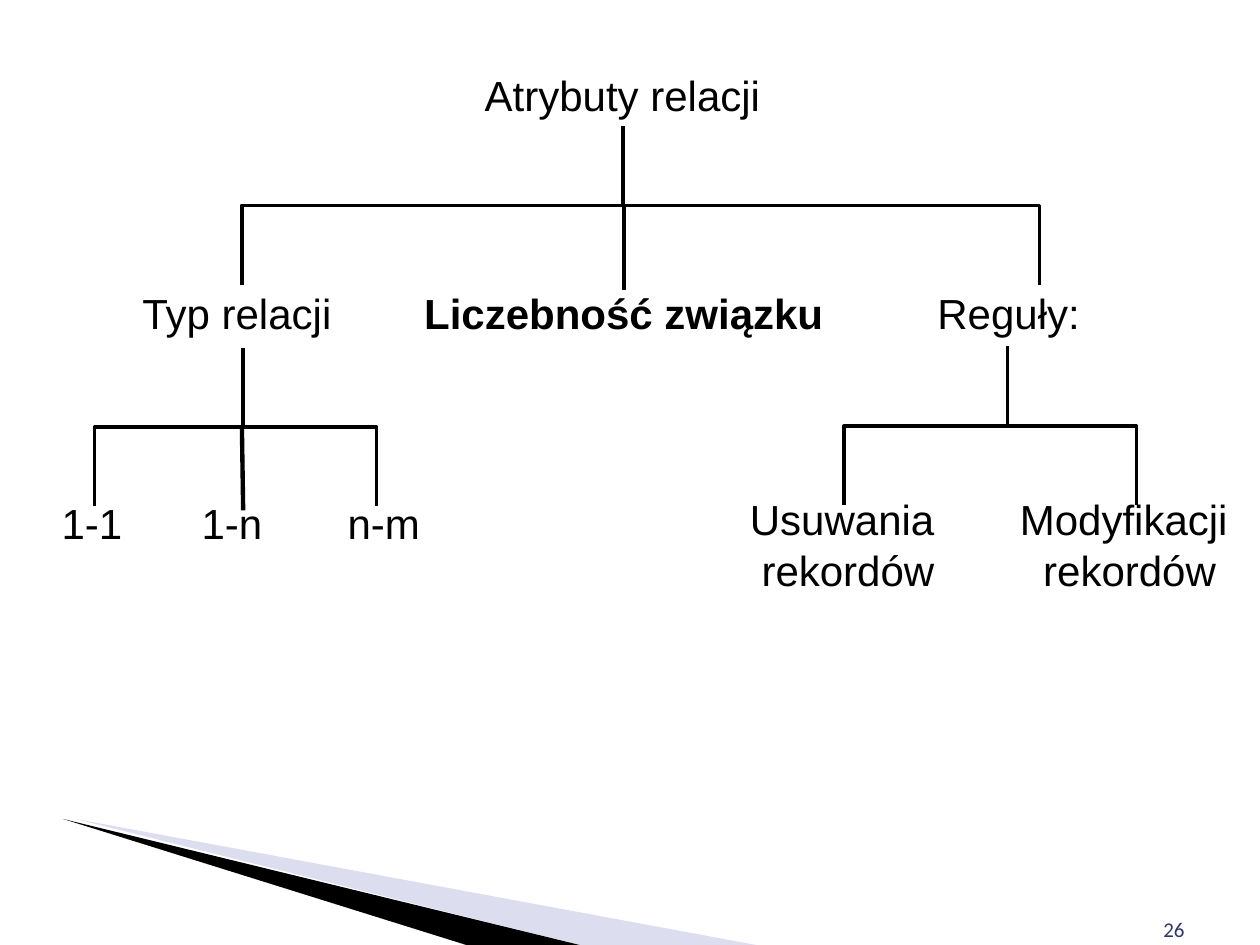
from lxml.etree import SubElement
from pptx import Presentation
from pptx.dml.color import RGBColor
from pptx.enum.shapes import MSO_CONNECTOR
from pptx.enum.text import MSO_ANCHOR, MSO_AUTO_SIZE, PP_ALIGN
from pptx.oxml.ns import qn
from pptx.util import Inches, Pt


def paint(hue):
    """Turn a hex string into a colour."""
    return RGBColor.from_string(hue)


class Board:
    """Draw tree parts on a slide with a grid of 100 columns by 75 rows."""

    cell = Inches(0.1)
    ink = "000000"
    face = "Arial"
    size = 24

    def __init__(self, slide):
        """Keep the slide to draw on."""
        self.slide = slide

    def grid(self, *marks):
        """Turn grid marks into lengths."""
        return [round(mark * self.cell) for mark in marks]

    def letter(self, box, text, align=PP_ALIGN.CENTER, bold=False):
        """Fill a shape with styled text."""
        frame = box.text_frame
        frame.text = text
        frame.word_wrap = True
        frame.auto_size = MSO_AUTO_SIZE.NONE
        frame.vertical_anchor = MSO_ANCHOR.TOP
        frame.margin_left = frame.margin_right = Inches(0.05)
        frame.margin_top = frame.margin_bottom = Inches(0.05)
        for para in frame.paragraphs:
            para.alignment = align
            self.style(para, self.face, self.size, self.ink, bold)

    def style(self, para, face, size, hue, bold=False):
        """Format the runs of a paragraph."""
        for run in para.runs:
            run.font.name = face
            run.font.size = Pt(size)
            run.font.bold = bold
            run.font.color.rgb = paint(hue)

    def title(self, text, *area):
        """Place and fill the title."""
        head = self.slide.shapes.title
        head.left, head.top, head.width, head.height = self.grid(*area)
        self.letter(head, text)

    def label(self, text, *area, **look):
        """Add a node of the tree."""
        box = self.slide.shapes.add_textbox(*self.grid(*area))
        self.letter(box, text, **look)

    def number(self, text, *area):
        """Add the page number."""
        frame = self.slide.shapes.add_textbox(*self.grid(*area)).text_frame
        frame.text = text
        frame.word_wrap = True
        frame.vertical_anchor = MSO_ANCHOR.BOTTOM
        para = frame.paragraphs[0]
        para.alignment = PP_ALIGN.RIGHT
        self.style(para, "Calibri", 12, "30356E")

    def link(self, kind, ends, width):
        """Add a plain connector."""
        line = self.slide.shapes.add_connector(kind, *self.grid(*ends))
        line.line.color.rgb = paint(self.ink)
        line.line.width = Pt(width)
        SubElement(line._element.spPr, qn("a:effectLst"))
        return line

    def stem(self, *ends):
        """Add a straight branch."""
        self.link(MSO_CONNECTOR.STRAIGHT, ends, 2.5)

    def branch(self, left, top, right, base):
        """Add an elbow that leaves its parent downwards."""
        midx, midy = (left + right) / 2, (top + base) / 2
        half, lift = (base - top) / 2, (right - left) / 2
        ends = midx - half, midy + lift, midx + half, midy - lift
        line = self.link(MSO_CONNECTOR.ELBOW, ends, 2)
        line._element.spPr.find(qn("a:xfrm")).set("rot", str(90 * 60000))

    def wedge(self, hue, points, share=100):
        """Add a filled outline with a share of opacity."""
        start, *rest = points
        draft = self.slide.shapes.build_freeform(*start, scale=self.cell)
        draft.add_line_segments(rest, close=True)
        form = draft.convert_to_shape()
        form.shadow.inherit = False
        form.line.fill.background()
        form.fill.solid()
        form.fill.fore_color.rgb = paint(hue)
        if share < 100:
            tone = form._element.spPr.find(qn("a:solidFill"))[0]
            SubElement(tone, qn("a:alpha")).set("val", str(share * 1000))


def main():
    """Build the slide and save it."""
    deck = Presentation()
    deck.slide_width, deck.slide_height = Inches(10), Inches(7.5)
    board = Board(deck.slides.add_slide(deck.slide_layouts[5]))

    board.wedge("A8ABD5", [(5.5, 65.1), (59.6, 75.1), (45.7, 75.1)], 40)
    board.wedge("000000", [(5.4, 65), (45.7, 75.2), (37.3, 75.2)])
    board.number("26", 71.7, 70, 23.3, 5.2)

    board.title("Atrybuty relacji", 37.3, 5, 24.2, 5)
    board.label("Typ relacji", 10.8, 22.3, 18.3, 5, align=PP_ALIGN.LEFT)
    board.label("Liczebność związku", 33, 22.3, 33, 5, bold=True)
    board.label("Reguły:", 71.7, 22.3, 16.7, 5)
    for text, left, width in (("1-1", 4.2, 6.2), ("1-n", 15.3, 6.2), ("n-m", 26.7, 7.5)):
        board.label(text, left, 39, width, 5)
    board.label("Usuwania \nrekordów", 58.6, 38.7, 17.4, 8.8)
    board.label("Modyfikacji \nrekordów", 80.1, 38.7, 19.1, 8.8)

    trees = (
        (49.45, 10, (19.2, 82.5)),
        (19.3, 27.6, (7.5, 29.9)),
        (79.95, 27.5, (67, 90.2)),
    )
    for root, top, leaves in trees:
        for leaf in leaves:
            board.branch(root, top, leaf, top + 12.6)
    board.stem(49.5, 16.3, 49.5, 23)
    board.stem(19.2, 33.8, 19.3, 40.5)

    deck.save("out.pptx")


if __name__ == "__main__":
    main()
